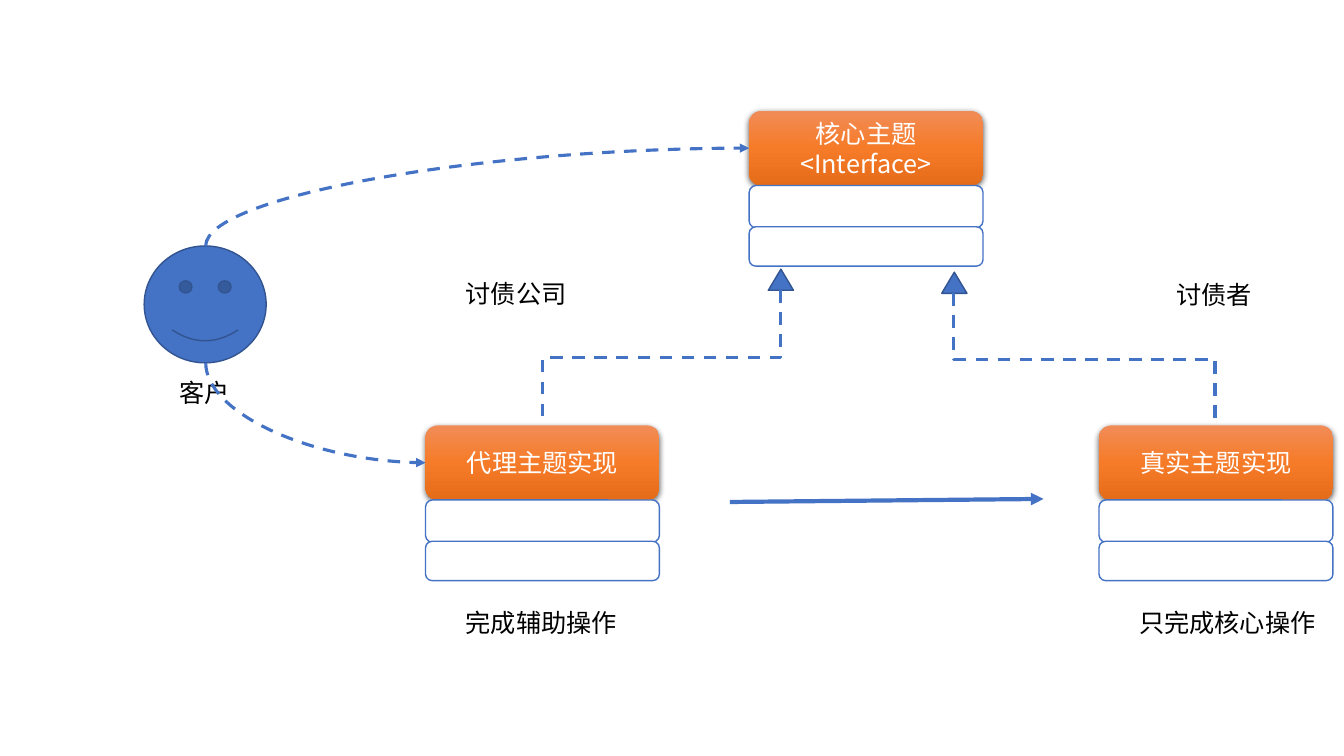
from lxml import etree
from pptx import Presentation
from pptx.dml.color import RGBColor
from pptx.enum.dml import MSO_LINE
from pptx.enum.shapes import MSO_CONNECTOR, MSO_SHAPE
from pptx.enum.text import MSO_ANCHOR, MSO_AUTO_SIZE, PP_ALIGN
from pptx.oxml import parse_xml
from pptx.oxml.ns import nsdecls, qn
from pptx.util import Inches, Pt

ROUNDED, EXTRACT = MSO_SHAPE.ROUNDED_RECTANGLE, MSO_SHAPE.FLOWCHART_EXTRACT
SMILEY = MSO_SHAPE.SMILEY_FACE
STRAIGHT, ELBOW, CURVE = MSO_CONNECTOR.STRAIGHT, MSO_CONNECTOR.ELBOW, MSO_CONNECTOR.CURVE
DASH, MIDDLE, CENTER = MSO_LINE.DASH, MSO_ANCHOR.MIDDLE, PP_ALIGN.CENTER
FIT_TEXT = MSO_AUTO_SIZE.SHAPE_TO_FIT_TEXT

FONT = "Noto Sans CJK SC"
COLORS = {
    "blue": "4472C4", "dark_blue": "325491", "white": "FFFFFF", "black": "000000",
    "orange_top": "F18C57", "orange_mid": "F67B28", "orange_low": "E56C19",
}
HEADER_FILL = f"""<a:gradFill {nsdecls('a')} rotWithShape="1"><a:gsLst>
<a:gs pos="0"><a:srgbClr val="{COLORS['orange_top']}"/></a:gs>
<a:gs pos="50000"><a:srgbClr val="{COLORS['orange_mid']}"/></a:gs>
<a:gs pos="100000"><a:srgbClr val="{COLORS['orange_low']}"/></a:gs>
</a:gsLst><a:lin ang="5400000" scaled="0"/></a:gradFill>"""
HEADER_SHADOW = f"""<a:effectLst {nsdecls('a')}>
<a:outerShdw blurRad="57150" dist="19050" dir="5400000" algn="ctr" rotWithShape="0">
<a:srgbClr val="{COLORS['black']}"><a:alpha val="63000"/></a:srgbClr>
</a:outerShdw></a:effectLst>"""

prs = Presentation()
prs.slide_width, prs.slide_height = Inches(13.33), Inches(7.5)
shapes = prs.slides.add_slide(prs.slide_layouts[6]).shapes


def add_block(kind, box, fill, line):
    """Add a flat preset shape with a one-point outline."""
    block = shapes.add_shape(kind, *map(Inches, box))
    block.shadow.inherit = False
    block.fill.solid()
    block.fill.fore_color.rgb = RGBColor.from_string(COLORS[fill])
    block.line.color.rgb = RGBColor.from_string(COLORS[line])
    block.line.width = Pt(1)


def write_text(frame, text, color):
    """Fill a text frame with 18-point paragraphs, one per line of text."""
    frame.text = text
    for paragraph in frame.paragraphs:
        font = paragraph.font
        font.size, font.name = Pt(18), FONT
        font.color.rgb = RGBColor.from_string(COLORS[color])
        defaults = paragraph._p.pPr.find(qn("a:defRPr"))
        etree.SubElement(defaults, qn("a:ea")).set("typeface", FONT)


# Class boxes: a header above two empty compartments
CLASS_WIDTH = 2.32
for left, top, title in [
    (7.43, 1.1, "核心主题\n<Interface>"),
    (4.22, 4.22, "代理主题实现"),
    (10.9, 4.22, "真实主题实现"),
]:
    header = shapes.add_shape(ROUNDED, *map(Inches, (left, top, CLASS_WIDTH, 0.74)))
    header.line.fill.background()
    properties = header._element.spPr
    properties.insert(2, parse_xml(HEADER_FILL))
    properties.append(parse_xml(HEADER_SHADOW))
    header.text_frame.vertical_anchor = MIDDLE
    write_text(header.text_frame, title, "white")
    for paragraph in header.text_frame.paragraphs:
        paragraph.alignment = CENTER
    for offset, height in [(0.74, 0.42), (1.15, 0.39)]:
        add_block(ROUNDED, (left, top + offset, CLASS_WIDTH, height), "white", "blue")

# Inheritance arrowheads and the client
for left, top in [(7.62, 2.67), (9.34, 2.7)]:
    add_block(EXTRACT, (left, top, 0.25, 0.21), "blue", "dark_blue")
add_block(SMILEY, (1.43, 2.44, 1.21, 1.16), "blue", "dark_blue")

# Captions
for left, top, width, caption in [
    (4.52, 5.98, 1.72, "完成辅助操作"),
    (11.2, 5.98, 2.03, "只完成核心操作"),
    (4.52, 2.71, 1.21, "讨债公司"),
    (11.57, 2.72, 0.96, "讨债者"),
    (1.68, 3.69, 0.71, "客户"),
]:
    frame = shapes.add_textbox(*map(Inches, (left, top, width, 0.4))).text_frame
    frame.word_wrap = False
    frame.auto_size = FIT_TEXT
    write_text(frame, caption, "black")

# Relations: a quarter turn swaps the sides of the box around its centre
for kind, start, end, turn, flip_h, flip_v, has_head in [
    (ELBOW, (7.74, 2.88), (5.38, 4.22), 90, False, False, False),
    (ELBOW, (9.46, 2.91), (12.05, 4.22), 270, True, False, False),
    (STRAIGHT, (7.24, 4.98), (10.35, 4.95), 0, False, True, True),
    (CURVE, (2.04, 2.44), (7.43, 1.47), 90, True, True, True),
    (CURVE, (2.04, 3.6), (4.22, 4.59), 270, True, False, True),
]:
    width, height = abs(end[0] - start[0]), abs(end[1] - start[1])
    if turn:
        width, height = height, width
    left = (start[0] + end[0] - width) / 2
    top = (start[1] + end[1] - height) / 2
    xs, ys = (left, left + width), (top, top + height)
    relation = shapes.add_connector(
        kind, Inches(xs[flip_h]), Inches(ys[flip_v]),
        Inches(xs[not flip_h]), Inches(ys[not flip_v]))
    properties = relation._element.spPr
    if turn:
        properties.find(qn("a:xfrm")).set("rot", str(turn * 60000))
        relation.line.dash_style = DASH
    if kind == CURVE:
        properties.find(qn("a:prstGeom")).set("prst", "curvedConnector2")
    relation.line.color.rgb = RGBColor.from_string(COLORS["blue"])
    relation.line.width = Pt(2.25 if turn else 3)
    if has_head:
        outline = properties.find(qn("a:ln"))
        etree.SubElement(outline, qn("a:tailEnd")).set("type", "triangle")
    etree.SubElement(properties, qn("a:effectLst"))

prs.save("out.pptx")
